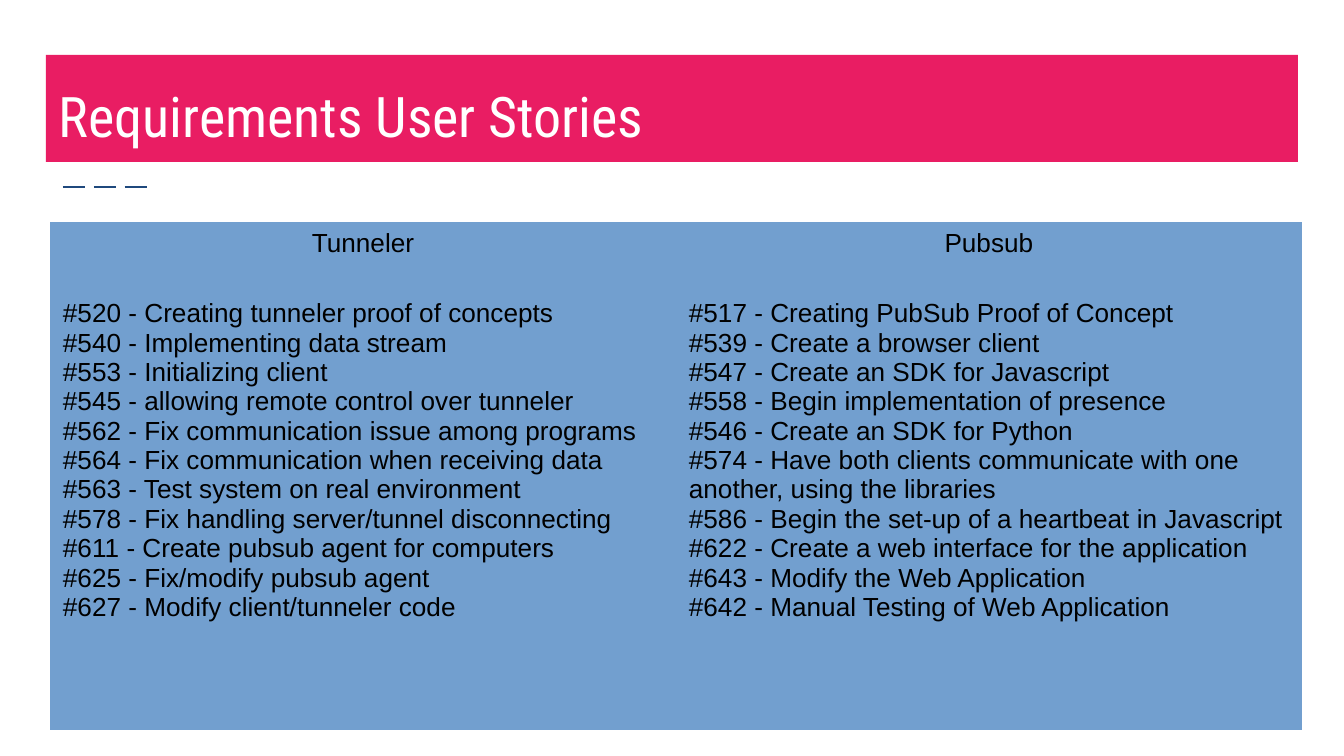
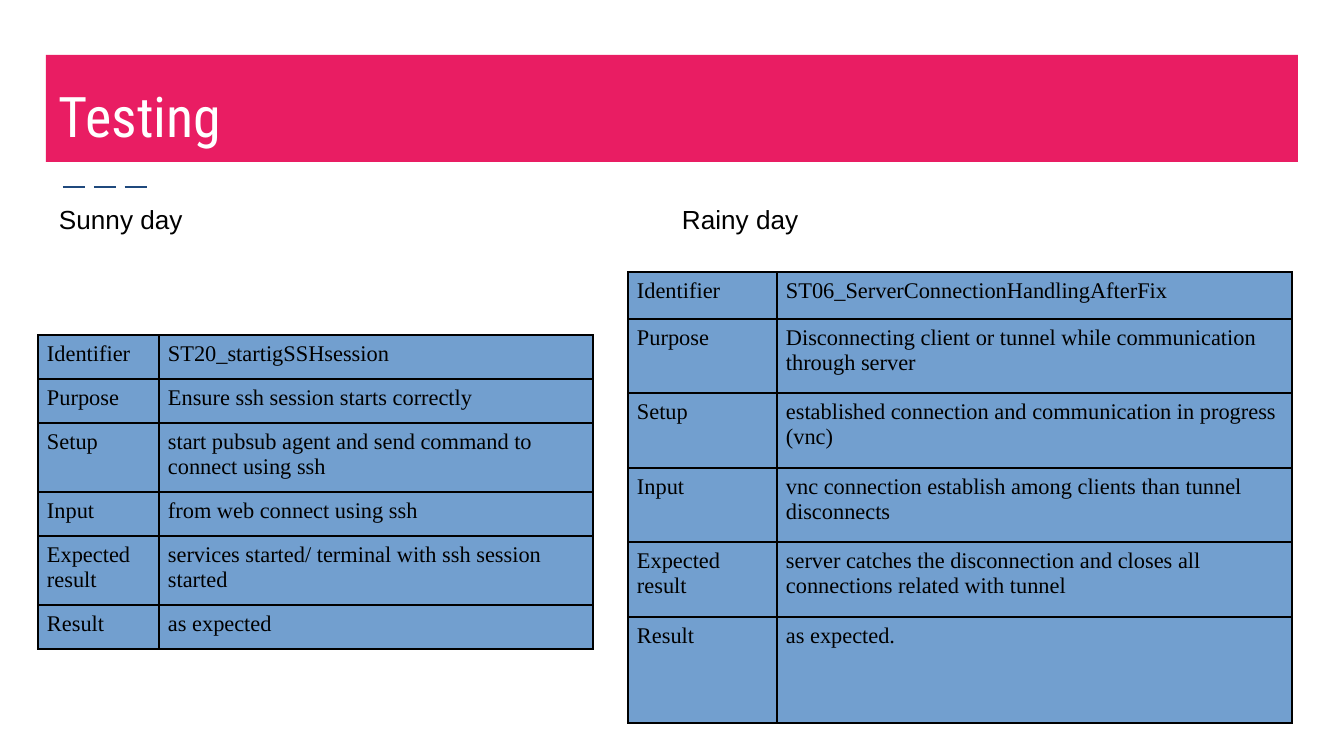
from dataclasses import dataclass

from lxml.etree import SubElement
from pptx import Presentation
from pptx.dml.color import RGBColor as RGB
from pptx.enum.dml import MSO_LINE as Dash
from pptx.enum.shapes import MSO_CONNECTOR as Link, MSO_SHAPE as Shape
from pptx.enum.text import MSO_ANCHOR as Anchor, PP_ALIGN as Align
from pptx.oxml.ns import qn
from pptx.util import Pt

PX = 914400 / 134.4


@dataclass(frozen=True)
class Theme:
    """Colours, fonts and type sizes of the deck."""
    band: str = "E91D63"
    dash: str = "1F497D"
    cell: str = "729FCF"
    grid: str = "9E9E9E"
    ink: str = "000000"
    paper: str = "FFFFFF"
    head: str = "Roboto Condensed"
    body: str = "Arial"
    form: str = "Times New Roman"
    big: int = 30
    mid: int = 14
    small: int = 12


theme = Theme()


def write(hold, frame, text, font, size, color, pad):
    """Set the margins of hold to pad (x, y), then fill and format its frame."""
    hold.margin_left = hold.margin_right = round(pad[0] * PX)
    hold.margin_top = hold.margin_bottom = round(pad[1] * PX)
    frame.word_wrap = True
    frame.text = text
    for para in frame.paragraphs:
        for run in para.runs:
            run.font.name = font
            run.font.size = Pt(size)
            run.font.color.rgb = RGB.from_string(color)


def grid(slide, left, top, cols, rows, data, font, size, pad, edge):
    """Add a filled table; edge is (colour, width in points, alpha in percent)."""
    box = [round(n * PX) for n in (left, top, sum(cols), sum(rows))]
    table = slide.shapes.add_table(len(rows), len(cols), *box).table
    table.first_row = table.horz_banding = False
    for col, wide in zip(table.columns, cols):
        col.width = round(wide * PX)
    for row, high, texts in zip(table.rows, rows, data):
        row.height = round(high * PX)
        for cell, text in zip(row.cells, texts):
            write(cell, cell.text_frame, text, font, size, theme.ink, pad)
            props = cell._tc.get_or_add_tcPr()
            for side in ("a:lnL", "a:lnR", "a:lnT", "a:lnB"):
                line = SubElement(props, qn(side), w=str(Pt(edge[1])))
                fill = SubElement(line, qn("a:solidFill"))
                tint = SubElement(fill, qn("a:srgbClr"), val=edge[0])
                SubElement(tint, qn("a:alpha"), val=str(edge[2] * 1000))
            cell.fill.solid()
            cell.fill.fore_color.rgb = RGB.from_string(theme.cell)
    return table


deck = Presentation()
deck.slide_width, deck.slide_height = round(1344 * PX), round(756 * PX)

# Shared frame: dashed rule and title band
slides = []
for title in ("Requirements User Stories", "Testing"):
    slide = deck.slides.add_slide(deck.slide_layouts[6])
    slides.append(slide)
    rule = slide.shapes.add_connector(
        Link.STRAIGHT, *[round(n * PX) for n in (63, 187, 153, 187)])
    rule.line.color.rgb = RGB.from_string(theme.dash)
    rule.line.width = Pt(1.5)
    rule.line.dash_style = Dash.LONG_DASH
    SubElement(rule._element.spPr, qn("a:effectLst"))

    band = slide.shapes.add_shape(
        Shape.RECTANGLE, *[round(n * PX) for n in (46, 55, 1252, 107)])
    band.shadow.inherit = False
    band.fill.solid()
    band.fill.fore_color.rgb = RGB.from_string(theme.band)
    band.line.fill.background()
    frame = band.text_frame
    write(frame, frame, title, theme.head, theme.big, theme.paper, (13, 13))
    frame.vertical_anchor = Anchor.BOTTOM
    frame.paragraphs[0].alignment = Align.LEFT

stories, tests = slides

# Requirements
tunnel = [
    "#520 - Creating tunneler proof of concepts",
    "#540 - Implementing data stream",
    "#553 - Initializing client",
    "#545 - allowing remote control over tunneler",
    "#562 - Fix communication issue among programs",
    "#564 - Fix communication when receiving data",
    "#563 - Test system on real environment",
    "#578 - Fix handling server/tunnel disconnecting",
    "#611 - Create pubsub agent for computers",
    "#625 - Fix/modify pubsub agent",
    "#627 - Modify client/tunneler code",
]
pubsub = [
    "#517 - Creating PubSub Proof of Concept",
    "#539 - Create a browser client",
    "#547 - Create an SDK for Javascript",
    "#558 - Begin implementation of presence",
    "#546 - Create an SDK for Python",
    "#574 - Have both clients communicate with one another, using the libraries",
    "#586 - Begin the set-up of a heartbeat in Javascript",
    "#622 - Create a web interface for the application",
    "#643 - Modify the Web Application",
    "#642 - Manual Testing of Web Application",
]
data = [("Tunneler", "Pubsub"), ("\n".join(tunnel), "\n".join(pubsub))]
table = grid(stories, 50, 222, (626, 626), (70, 438), data,
             theme.body, theme.mid, (13, 7), (theme.grid, 0.74, 0))
for cell in table.rows[0].cells:
    cell.text_frame.paragraphs[0].alignment = Align.CENTER

# Testing
for left, text in ((46, "Sunny day"), (669, "Rainy day")):
    box = tests.shapes.add_textbox(
        *[round(n * PX) for n in (left, 190, 203, 56)])
    frame = box.text_frame
    write(frame, frame, text, theme.body, theme.mid, theme.ink, (13, 13))

labels = ("Identifier", "Purpose", "Setup", "Input", "Expected result", "Result")
rainy = (
    "ST06_ServerConnectionHandlingAfterFix",
    "Disconnecting client or tunnel while communication through server",
    "established connection and communication in progress (vnc)",
    "vnc connection establish among clients than tunnel disconnects",
    "server catches the disconnection and closes all connections related with tunnel",
    "as expected.",
)
sunny = (
    "ST20_startigSSHsession",
    "Ensure ssh session starts correctly",
    "start pubsub agent and send command to connect using ssh",
    "from web connect using ssh",
    "services started/ terminal with ssh session started",
    "as expected",
)
for left, top, cols, rows, facts in (
    (628, 272, (149, 515), (47, 74, 75, 74, 75, 106), rainy),
    (38, 335, (121, 434), (44, 44, 69, 44, 69, 44), sunny),
):
    grid(tests, left, top, cols, rows, list(zip(labels, facts)),
         theme.form, theme.small, (9, 7), (theme.ink, 0.96, 100))

deck.save("out.pptx")
